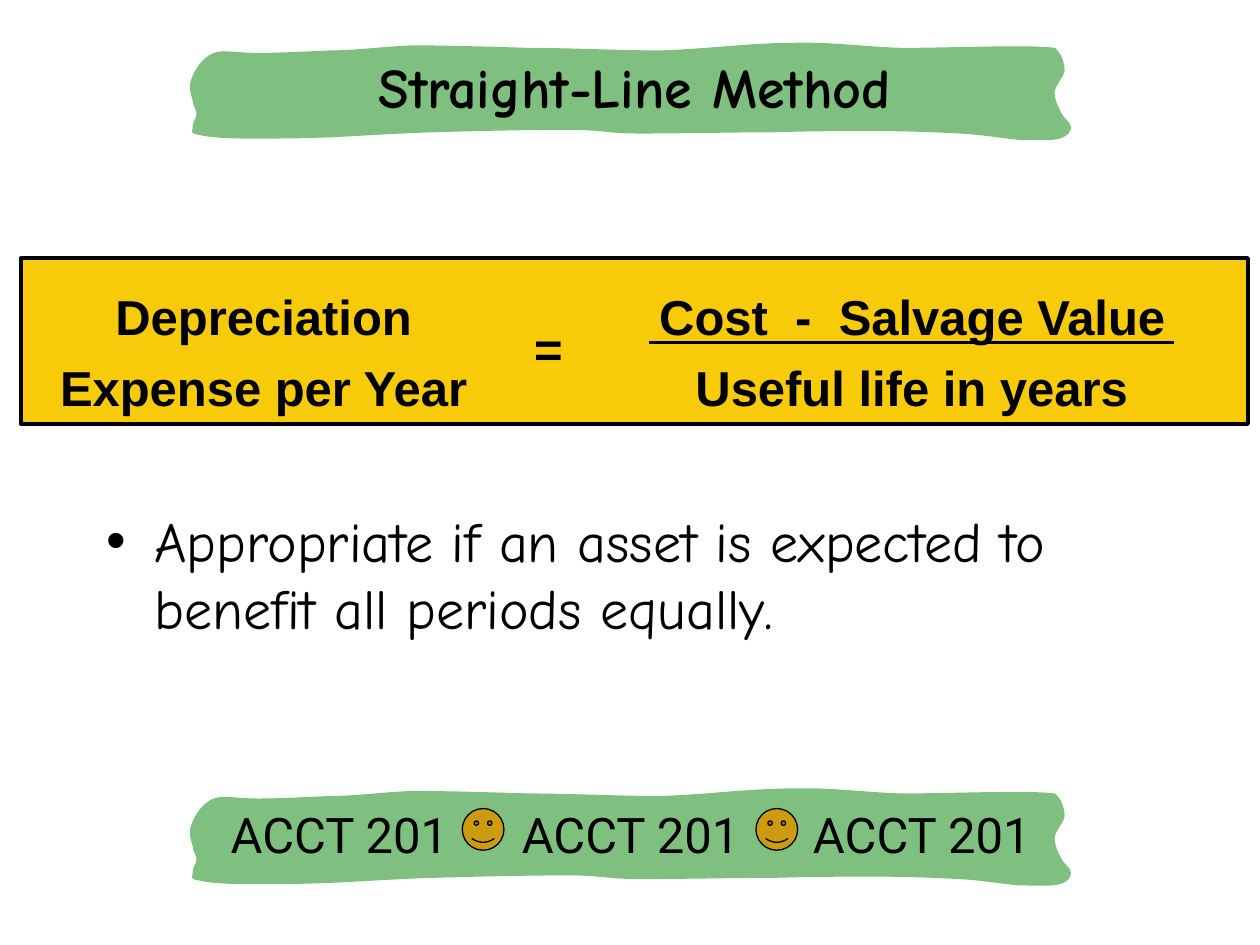
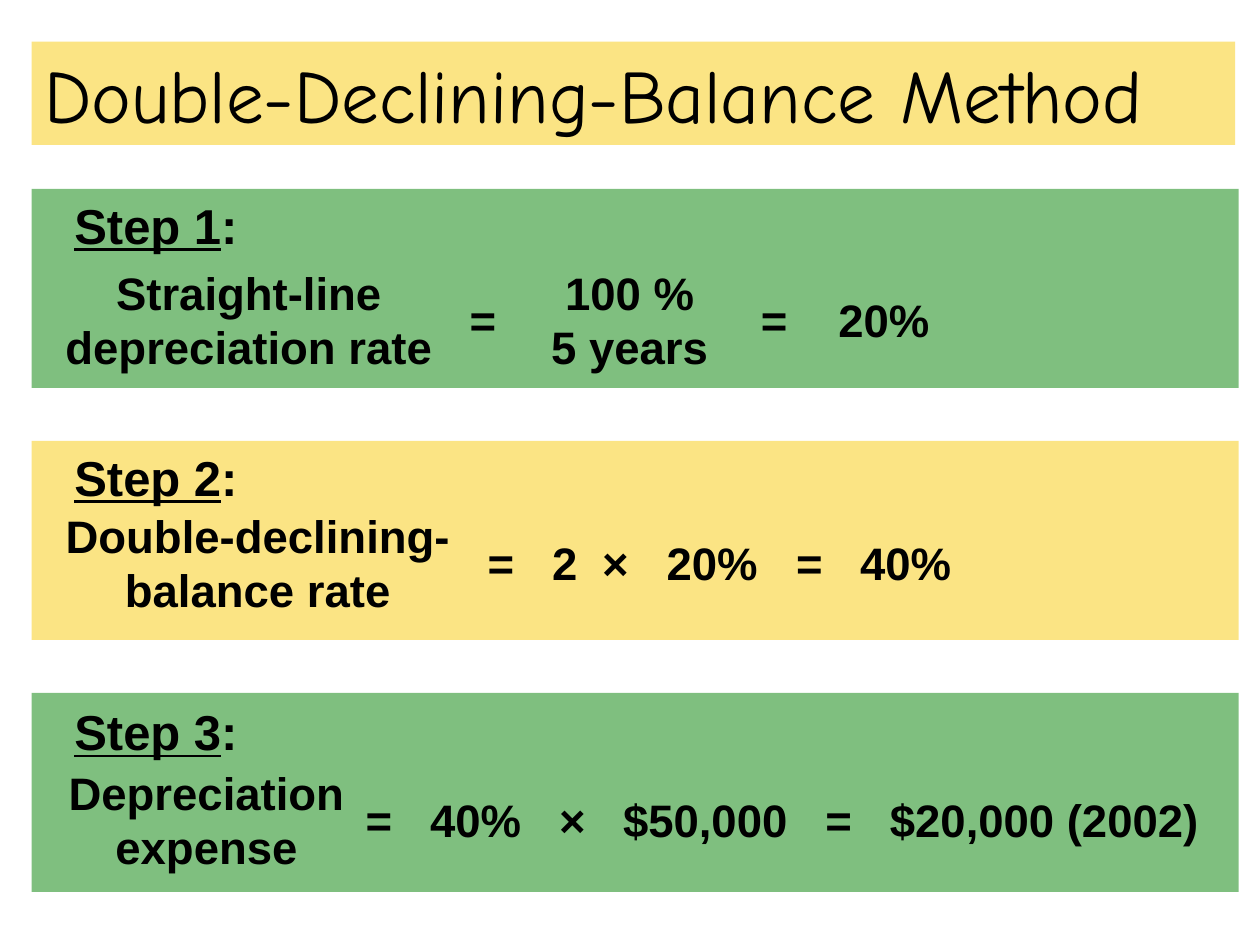
from lxml import etree
from pptx import Presentation
from pptx.dml.color import RGBColor
from pptx.enum.shapes import MSO_CONNECTOR, MSO_SHAPE
from pptx.enum.text import MSO_ANCHOR, MSO_AUTO_SIZE, PP_ALIGN
from pptx.oxml.ns import qn
from pptx.util import Cm, Pt

# Shared look
BLACK, GREEN, GOLD, SMILE = "000000", "008000", "F8CB0A", "CC9B10"
SANS, HAND, FOOT = "Arial", "Comic Neue", "Roboto"
MID, LEFT = PP_ALIGN.CENTER, PP_ALIGN.LEFT

# Content of the formula slide (\v breaks a line, \t goes to a tab stop)
TITLE1 = "Straight-Line Method"
RESULT = ["Depreciation", "Expense per Year"]
RATIO = "Cost\t-\tSalvage Value\v\tUseful life in years"
NOTE = "Appropriate if an asset is expected to benefit all periods equally."
COURSE = "\t".join(["ACCT 201"] * 3)

# Content of the steps slide: label (left, width, text), drops of the heading
# and the label, then formula parts as (left, width, lines, tab stops)
TITLE2 = "Double-Declining-Balance Method"
STEPS = [
    dict(fill=GREEN, label=(1.07, 7.9, "Straight-line\vdepreciation rate"),
         lead=0, drop=1.4,
         parts=[(9.22, 1.04, ["="], []),
                (10.64, 3.94, ["100 %", "5 years"], []),
                (15.09, 3.91, ["=\t20%"], [1.56])]),
    dict(fill=GOLD, label=(1.07, 8.26, "Double-declining-\vbalance rate"),
         lead=0, drop=1.22,
         parts=[(9.58, 9.88, ["=\t2\t×\t20%\t=\t40%"], [1.3, 2.31, 3.61, 6.22, 7.51])]),
    dict(fill=GREEN, label=(1.13, 6.07, "Depreciation\vexpense"),
         lead=0.05, drop=1.32,
         parts=[(7.12, 17.83, ["=\t40%\t×\t$50,000\t=\t$20,000 (2002)"],
                 [1.3, 3.9, 5.19, 9.27, 10.57])]),
]

# Ribbon outline in hundredths of an inch: a start, then cubic curves
START = (545, 71)
CURVES = [
    (520, 71, 495, 71, 464, 72), (433, 72, 386, 73, 359, 73),
    (331, 73, 328, 70, 300, 70), (273, 70, 225, 71, 193, 72),
    (162, 73, 135, 75, 111, 76), (87, 77, 65, 77, 48, 77),
    (31, 77, 15, 76, 8, 74), (0, 73, 3, 71, 3, 68),
    (2, 65, 6, 61, 6, 57), (6, 54, 3, 51, 3, 47),
    (2, 43, 0, 39, 1, 33), (2, 28, 6, 20, 10, 16),
    (14, 12, 17, 9, 24, 8), (31, 7, 40, 9, 55, 9),
    (69, 9, 91, 8, 112, 7), (133, 7, 152, 4, 178, 3),
    (204, 3, 237, 4, 270, 5), (302, 5, 339, 7, 374, 7),
    (409, 6, 446, 1, 478, 1), (510, 0, 534, 4, 566, 5),
    (599, 5, 653, 3, 673, 4), (694, 5, 686, 5, 690, 8),
    (693, 11, 695, 18, 695, 23), (694, 29, 687, 35, 687, 41),
    (687, 46, 690, 52, 692, 56), (694, 61, 700, 64, 700, 68),
    (700, 71, 698, 75, 691, 77), (684, 79, 672, 78, 659, 78),
    (646, 77, 631, 74, 612, 73), (593, 72, 569, 71, 545, 71),
]


def paint(fore, code):
    fore.solid()
    fore.fore_color.rgb = RGBColor.from_string(code)


def style(shape, fill, edge=0, clear=False):
    """Fill a shape, optionally half transparent, with a black edge or none."""
    paint(shape.fill, fill)
    if clear:
        color = shape._element.spPr.find(".//" + qn("a:srgbClr"))
        etree.SubElement(color, qn("a:alpha"), val="50000")
    if edge:
        paint(shape.line.fill, BLACK)
        shape.line.width = Pt(edge)
    else:
        shape.line.fill.background()


def write(frame, lines, size=28, font=SANS, bold=True, align=LEFT, space=None,
          lead="", tabs=(), bullet=0, pad=0.25, wrap=True, anchor=MSO_ANCHOR.TOP):
    """Set one paragraph per line; lead is an underlined opening."""
    frame.word_wrap = wrap
    frame.auto_size = MSO_AUTO_SIZE.NONE
    frame.vertical_anchor = anchor
    frame.margin_left, frame.margin_right = Cm(pad), Cm(0.25)
    frame.margin_top = frame.margin_bottom = Cm(0.13)
    for i, line in enumerate(lines):
        para = frame.add_paragraph() if i else frame.paragraphs[0]
        para.alignment = align
        para.space_before = 0
        if space:
            para.line_spacing = space
        props = para._p.get_or_add_pPr()
        if bullet:
            props.set("marL", str(Cm(bullet)))
            props.set("indent", str(-Cm(bullet)))
            etree.SubElement(props, qn("a:buFont"), typeface=SANS)
            etree.SubElement(props, qn("a:buChar"), char="•")
        if tabs:
            stops = etree.SubElement(props, qn("a:tabLst"))
            for stop in tabs:
                etree.SubElement(stops, qn("a:tab"), pos=str(Cm(stop)), algn="l")
        rows = [(lead, True)] if lead and i == 0 else []
        rows += [(row, False) for row in line.split("\v")]
        for n, (text, under) in enumerate(rows):
            if n and not rows[n - 1][1]:
                para.add_line_break()
            run = para.add_run()
            run.text = text
            face = run.font
            face.name, face.size, face.bold = font, Pt(size), bold
            face.underline = under
            paint(face.fill, BLACK)


def label(slide, x, y, w, h, lines, **form):
    box = slide.shapes.add_textbox(Cm(x), Cm(y), Cm(w), Cm(h))
    write(box.text_frame, lines, **form)


def block(slide, kind, x, y, w, h, fill, **look):
    shape = slide.shapes.add_shape(kind, Cm(x), Cm(y), Cm(w), Cm(h))
    shape.shadow.inherit = False
    style(shape, fill, **look)


def ribbon(slide, top):
    """Draw the torn green band, turning each side into its cubic curve."""
    ends = [curve[4:] for curve in CURVES]
    left, high = (min(end[k] for end in ends) for k in (0, 1))
    outline = slide.shapes.build_freeform(*START, scale=Cm(2.54) / 100)
    outline.add_line_segments(ends, close=True)
    band = outline.convert_to_shape(Cm(3.81), Cm(top))
    sides = list(band._element.spPr.iter(qn("a:lnTo")))
    for side, curve in zip(sides, CURVES):
        bend = etree.Element(qn("a:cubicBezTo"))
        for x, y in zip(curve[::2], curve[1::2]):
            etree.SubElement(bend, qn("a:pt"), x=str(x - left), y=str(y - high))
        side.getparent().replace(side, bend)
    band.shadow.inherit = False
    style(band, GREEN, clear=True)


def fit(slide, holder, lines, x, y, w, h, **form):
    """Move a placeholder to the front, place it and write in it."""
    holder.left, holder.top, holder.width, holder.height = Cm(x), Cm(y), Cm(w), Cm(h)
    write(holder.text_frame, lines, font=HAND, **form)
    slide.shapes._spTree.append(holder._element)


def formula(slide):
    # Formula panel
    block(slide, MSO_SHAPE.RECTANGLE, 0.42, 5.2, 24.74, 3.35, GOLD, edge=2)
    label(slide, 12.04, 5.41, 12.7, 3.1, [RATIO], space=1.2, pad=1.25,
          tabs=[0.73, 2.74, 3.62])
    label(slide, 0.97, 5.41, 8.69, 3.1, RESULT, align=MID, space=1.2, wrap=False)
    label(slide, 10.52, 6.3, 1.09, 1.42, ["="], wrap=False)
    bar = slide.shapes.add_connector(
        MSO_CONNECTOR.STRAIGHT, Cm(13.08), Cm(6.9), Cm(23.67), Cm(6.9))
    paint(bar.line.fill, BLACK)
    bar.line.width = Pt(2)
    etree.SubElement(bar._element.spPr, qn("a:effectLst"))

    # Footer band
    ribbon(slide, 15.87)
    label(slide, 4.24, 16.08, 16.94, 1.47, [COURSE], font=FOOT, bold=False, pad=0.41,
          tabs=[5.87, 11.74], anchor=MSO_ANCHOR.MIDDLE)
    for i in range(2):
        block(slide, MSO_SHAPE.SMILEY_FACE, 9.32 + 5.92 * i, 16.3, 0.84, 0.84,
              SMILE, edge=0.75)

    # Title band and remark
    ribbon(slide, 0.84)
    fit(slide, slide.shapes.title, [TITLE1], 4.86, 0.92, 15.88, 1.63, size=32, align=MID)
    fit(slide, slide.placeholders[1], [NOTE], 1.89, 10.08, 21.59, 8.46, size=32,
        bold=False, bullet=0.97)


def steps(slide):
    for i, step in enumerate(STEPS):
        top = 3.81 + 5.08 * i
        block(slide, MSO_SHAPE.RECTANGLE, 0.64, top, 24.33, 4.01, step["fill"], clear=True)
        label(slide, 1.25, top + step["lead"], 4.04, 1.42, [":"], lead=f"Step {i + 1}")
        row = top + step["drop"]
        left, wide, name = step["label"]
        label(slide, left, row, wide, 2.44, [name], size=26, align=MID, wrap=False)
        for x, w, lines, tabs in step["parts"]:
            if len(lines) > 1:
                label(slide, x, row, w, 2.44, lines, size=26, align=MID, pad=0.42)
            else:
                label(slide, x, row + 0.55, w, 1.35, lines, size=26, tabs=tabs, wrap=False)
    title = slide.shapes.title
    fit(slide, title, [TITLE2], 0.64, 0.84, 24.26, 2.08, size=43, bold=False,
        anchor=MSO_ANCHOR.MIDDLE)
    style(title, GOLD, clear=True)


def main():
    deck = Presentation()
    deck.slide_width, deck.slide_height = Cm(25.4), Cm(19.05)
    for build, layout in ((formula, 1), (steps, 5)):
        build(deck.slides.add_slide(deck.slide_layouts[layout]))
    deck.save("out.pptx")


if __name__ == "__main__":
    main()
